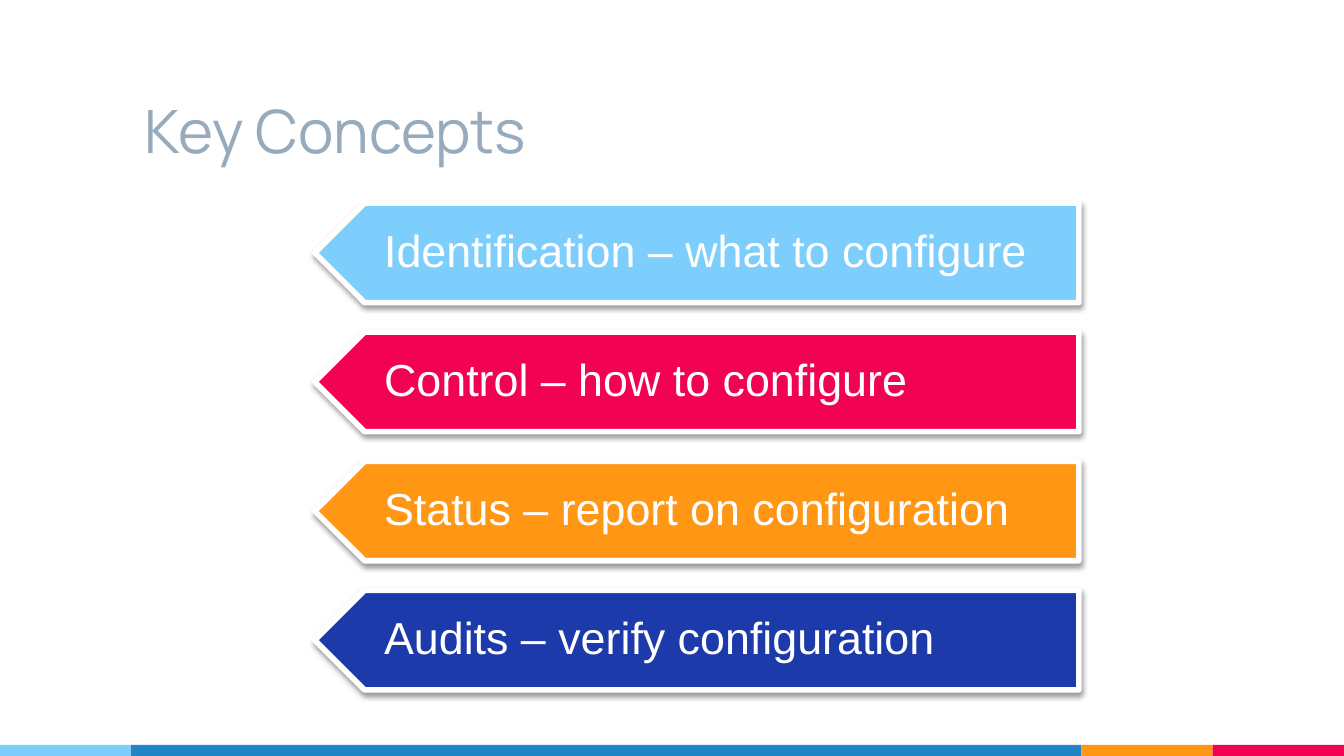
from dataclasses import dataclass
from typing import Any

import pptx
import pptx.dml.color
import pptx.enum.shapes
import pptx.enum.text
import pptx.oxml
import pptx.oxml.ns
import pptx.util
from pptx.util import Cm

COLOURS = {
    "sky": "7ECEFD",
    "blue": "2185C5",
    "navy": "1C3AA9",
    "orange": "FF9715",
    "red": "F20253",
    "grey": "97ABBC",
    "white": "FFFFFF",
}
ANCHOR = pptx.enum.text.MSO_ANCHOR

SLIDE_WIDTH, SLIDE_HEIGHT = 25.4, 14.29
STRIPE_TOP = 14.08
BANNER_LEFT, BANNER_RIGHT = 5.95, 20.39
BANNER_TOP, BANNER_HEIGHT, BANNER_PITCH = 3.84, 1.88, 2.44

SHADOW = (
    f"<a:effectLst {pptx.oxml.ns.nsdecls('a')}>"
    '<a:outerShdw blurRad="38100" dist="20320" dir="5400000" rotWithShape="0">'
    '<a:srgbClr val="000000"><a:alpha val="38000"/></a:srgbClr>'
    "</a:outerShdw></a:effectLst>"
)


@dataclass
class Stripe:
    left: float
    right: float
    colour: str


@dataclass
class Banner:
    text: str
    colour: str


STRIPES = [
    Stripe(0, 2.48, "sky"),
    Stripe(2.48, 20.44, "blue"),
    Stripe(20.44, 22.92, "orange"),
    Stripe(22.92, SLIDE_WIDTH, "red"),
]
BANNERS = [
    Banner("Identification – what to configure", "sky"),
    Banner("Control – how to configure", "red"),
    Banner("Status – report on configuration", "orange"),
    Banner("Audits – verify configuration", "navy"),
]


def rgb(name: str) -> pptx.dml.color.RGBColor:
    return pptx.dml.color.RGBColor.from_string(COLOURS[name])


def apply(target: Any, values: dict[str, Any]) -> None:
    for name, value in values.items():
        setattr(target, name, value)


def fill(shape: Any, colour: str) -> None:
    shape.fill.solid()
    shape.fill.fore_color.rgb = rgb(colour)


def write(shape: Any, text: str, font: str, size: int, colour: str,
          anchor: Any, line_spacing: float) -> None:
    frame = shape.text_frame
    margins = {f"margin_{side}": Cm(0.25) for side in ("left", "right", "top", "bottom")}
    apply(frame, margins | {
        "word_wrap": True,
        "vertical_anchor": anchor,
        "auto_size": pptx.enum.text.MSO_AUTO_SIZE.NONE,
    })
    paragraph = frame.paragraphs[0]
    paragraph.text = text
    apply(paragraph, {
        "alignment": pptx.enum.text.PP_ALIGN.LEFT,
        "line_spacing": line_spacing,
        "space_before": pptx.util.Pt(0),
    })
    run_font = paragraph.runs[0].font
    apply(run_font, {"name": font, "size": pptx.util.Pt(size)})
    run_font.color.rgb = rgb(colour)


def draw_stripe(slide: Any, stripe: Stripe) -> None:
    shape = slide.shapes.add_shape(
        pptx.enum.shapes.MSO_SHAPE.RECTANGLE,
        Cm(stripe.left), Cm(STRIPE_TOP),
        Cm(stripe.right - stripe.left), Cm(SLIDE_HEIGHT - STRIPE_TOP))
    shape.shadow.inherit = False
    fill(shape, stripe.colour)
    shape.line.fill.background()


def draw_banner(slide: Any, banner: Banner, top: float) -> None:
    # Pointed outline, its tip half as deep as the banner is high
    half = BANNER_HEIGHT / 2
    shoulder, bottom = BANNER_LEFT + half, top + BANNER_HEIGHT
    corners = [(shoulder, bottom), (BANNER_LEFT, top + half),
               (shoulder, top), (BANNER_RIGHT, top)]
    builder = slide.shapes.build_freeform(Cm(BANNER_RIGHT), Cm(bottom))
    builder.add_line_segments([(Cm(x), Cm(y)) for x, y in corners], close=True)
    shape = builder.convert_to_shape()
    fill(shape, banner.colour)
    shape.line.color.rgb = rgb("white")
    shape.line.width = pptx.util.Pt(3)
    shape._element.spPr.append(pptx.oxml.parse_xml(SHADOW))

    # Label
    label = slide.shapes.add_textbox(Cm(7.01), Cm(top + 0.2), Cm(13.16), Cm(1.47))
    write(label, banner.text, "Arial", 24, "white", ANCHOR.MIDDLE, 0.9)


def main() -> None:
    presentation = pptx.Presentation()
    apply(presentation, {"slide_width": Cm(SLIDE_WIDTH), "slide_height": Cm(SLIDE_HEIGHT)})
    slide = presentation.slides.add_slide(presentation.slide_layouts[5])

    # Footer stripes
    for stripe in STRIPES:
        draw_stripe(slide, stripe)

    # Title
    title = slide.shapes.title
    apply(title, {"left": Cm(2.49), "top": Cm(0.99), "width": Cm(17.96), "height": Cm(2.39)})
    write(title, "Key Concepts", "Manrope", 32, "grey", ANCHOR.BOTTOM, 1.0)

    # Concept banners
    for index, banner in enumerate(BANNERS):
        draw_banner(slide, banner, BANNER_TOP + index * BANNER_PITCH)

    presentation.save("out.pptx")


if __name__ == "__main__":
    main()
